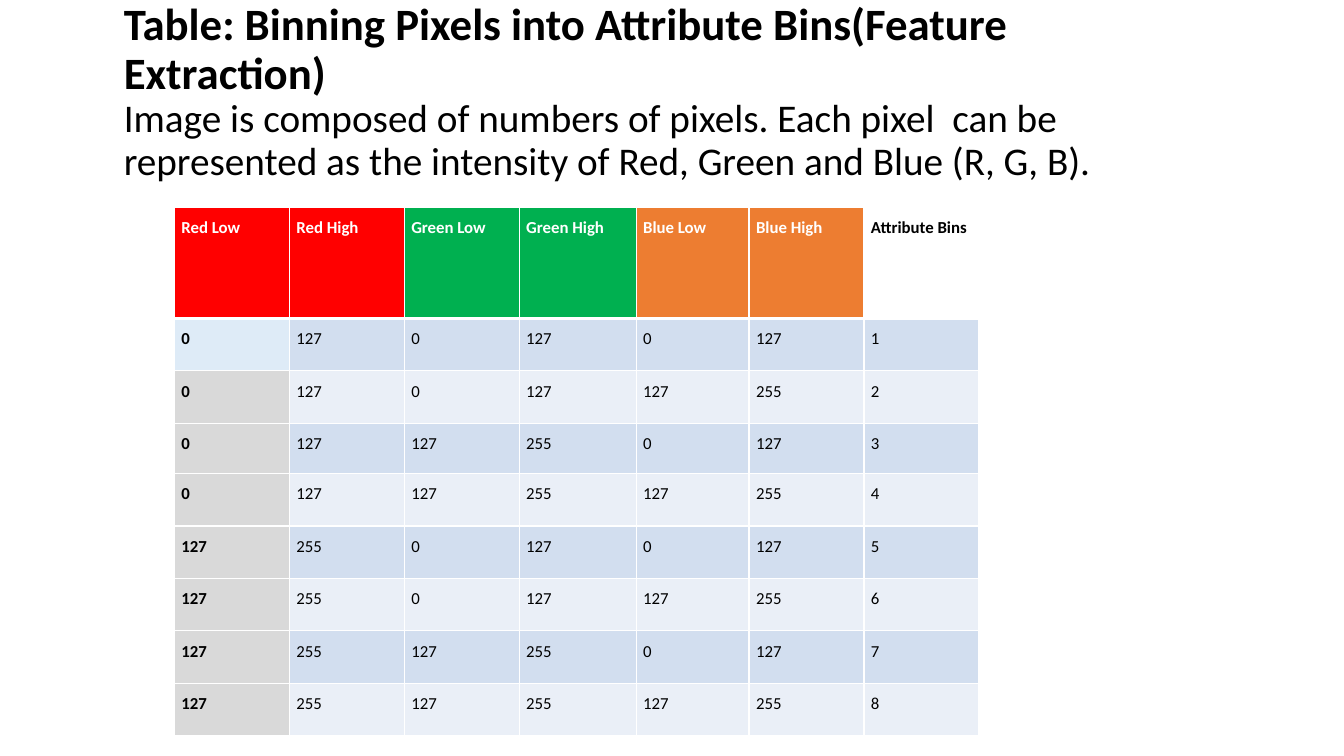
from dataclasses import dataclass
from itertools import product

from lxml.etree import SubElement
from pptx import Presentation
from pptx.dml.color import RGBColor
from pptx.enum.text import MSO_ANCHOR, PP_ALIGN
from pptx.oxml.ns import qn
from pptx.util import Inches, Pt


@dataclass(frozen=True)
class Theme:
    font: str = "Calibri"
    title_size: int = 32
    intro_size: int = 28
    table_size: int = 12
    black: str = "000000"
    white: str = "FFFFFF"
    red: str = "FF0000"
    green: str = "00B050"
    orange: str = "ED7D31"
    first_bin: str = "DEEBF7"
    row_label: str = "D9D9D9"
    bands: tuple = ("D2DEEF", "EAEFF7")


THEME = Theme()

HEADERS = [
    ("Red Low", THEME.red),
    ("Red High", THEME.red),
    ("Green Low", THEME.green),
    ("Green High", THEME.green),
    ("Blue Low", THEME.orange),
    ("Blue High", THEME.orange),
    ("Attribute Bins", THEME.white),
]
INTENSITY_RANGES = [(0, 127), (127, 255)]
COLUMN_WIDTHS = [1.14, 1.14, 1.14, 1.16, 1.12, 1.14, 1.14]
ROW_HEIGHTS = [1.1, 0.52, 0.52, 0.5] + [0.52] * 5


def add_run(paragraph, text, size, color=THEME.black, bold=False):
    run = paragraph.add_run()
    run.text = text
    run.font.name = THEME.font
    run.font.size = Pt(size)
    run.font.bold = bold
    run.font.color.rgb = RGBColor.from_string(color)


def add_heading(slide):
    shape = slide.shapes.add_textbox(
        Inches(1.13), Inches(0), Inches(11.03), Inches(1.84))
    frame = shape.text_frame
    frame.word_wrap = True
    frame.vertical_anchor = MSO_ANCHOR.MIDDLE
    paragraph = frame.paragraphs[0]
    paragraph.line_spacing = 0.9
    add_run(paragraph,
            "Table: Binning Pixels into Attribute Bins(Feature Extraction)",
            THEME.title_size, bold=True)
    paragraph.add_line_break()
    add_run(paragraph,
            "Image is composed of numbers of pixels. Each pixel  can be "
            "represented as the intensity of Red, Green and Blue (R, G, B).",
            THEME.intro_size)


def set_borders(cell, top, bottom):
    properties = cell._tc.get_or_add_tcPr()
    widths = {"a:lnL": 1, "a:lnR": 1, "a:lnT": top, "a:lnB": bottom}
    for tag, width in widths.items():
        line = SubElement(properties, qn(tag), w=str(Pt(width)))
        fill = SubElement(line, qn("a:solidFill"))
        SubElement(fill, qn("a:srgbClr"), val=THEME.white)


def fill_cell(cell, text, fill, color=THEME.black, bold=False, top=1, bottom=1):
    set_borders(cell, top, bottom)
    cell.fill.solid()
    cell.fill.fore_color.rgb = RGBColor.from_string(fill)
    cell.margin_left = cell.margin_right = Inches(0.07)
    cell.margin_top = cell.margin_bottom = Inches(0)
    paragraph = cell.text_frame.paragraphs[0]
    paragraph.alignment = PP_ALIGN.JUSTIFY
    paragraph.line_spacing = 1.5
    add_run(paragraph, text, THEME.table_size, color, bold)


def add_bin_table(slide):
    table = slide.shapes.add_table(
        len(ROW_HEIGHTS), len(COLUMN_WIDTHS), Inches(1.73), Inches(2.06),
        Inches(sum(COLUMN_WIDTHS)), Inches(sum(ROW_HEIGHTS))).table
    for column, width in zip(table.columns, COLUMN_WIDTHS):
        column.width = Inches(width)
    for row, height in zip(table.rows, ROW_HEIGHTS):
        row.height = Inches(height)

    # Header row
    for column, (label, fill) in enumerate(HEADERS):
        color = THEME.black if fill == THEME.white else THEME.white
        fill_cell(table.cell(0, column), label, fill, color, bold=True, bottom=3)

    # One row for each combination of red, green and blue ranges
    for number, ranges in enumerate(product(INTENSITY_RANGES, repeat=3), start=1):
        values = [*sum(ranges, ()), number]
        band = THEME.bands[(number - 1) % 2]
        label_fill = THEME.first_bin if number == 1 else THEME.row_label
        for column, value in enumerate(values):
            is_label = column == 0
            fill_cell(table.cell(number, column), str(value),
                      label_fill if is_label else band, bold=is_label,
                      top=3 if number == 1 else 1)


def main():
    presentation = Presentation()
    presentation.slide_width = Inches(13.33)
    presentation.slide_height = Inches(7.5)
    slide = presentation.slides.add_slide(presentation.slide_layouts[6])
    add_heading(slide)
    add_bin_table(slide)
    presentation.save("out.pptx")


main()
